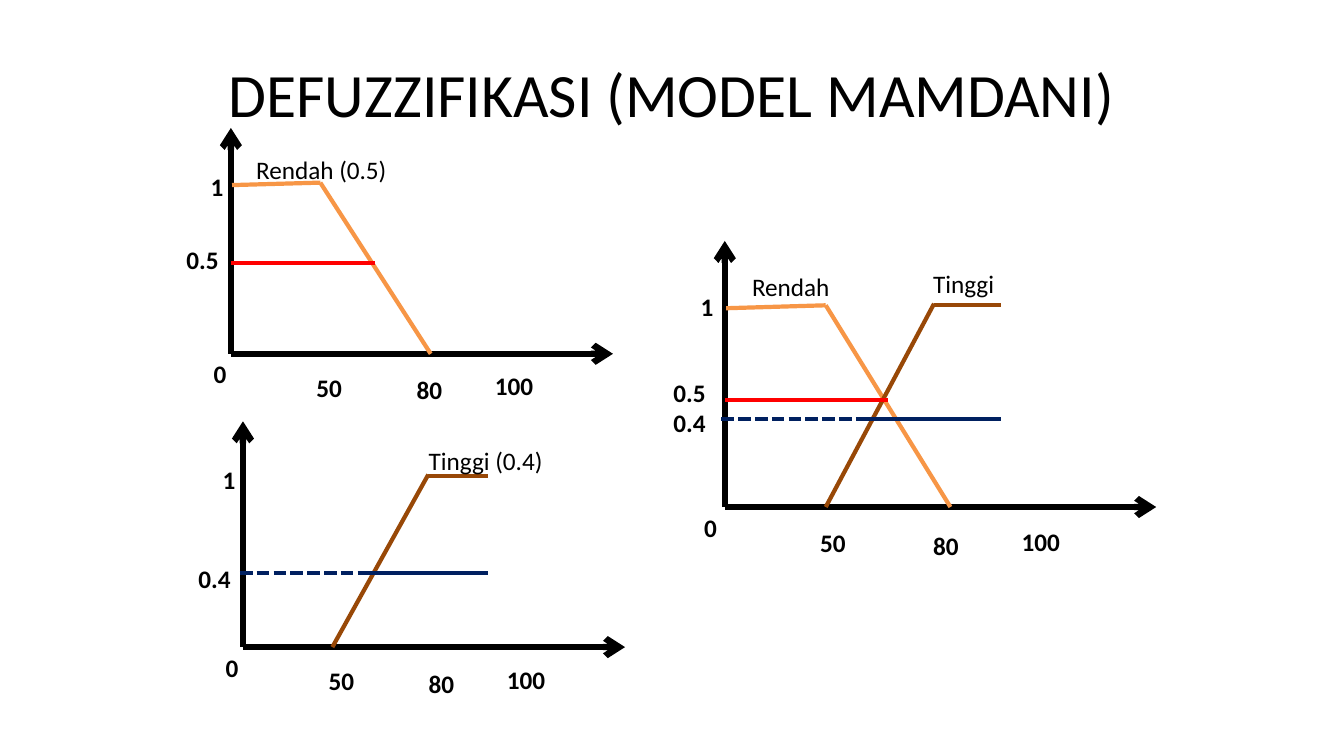
from dataclasses import dataclass

from lxml.etree import SubElement
from pptx import Presentation
from pptx.dml.color import RGBColor as RGB
from pptx.enum.dml import MSO_LINE as Dash
from pptx.enum.shapes import MSO_CONNECTOR as Link
from pptx.enum.text import MSO_ANCHOR as Anchor, MSO_AUTO_SIZE as Fit, PP_ALIGN as Align
from pptx.oxml.ns import qn
from pptx.util import Inches, Pt

HUES = {"ink": "000000", "low": "F79646", "high": "984807",
        "red": "FF0000", "navy": "002060"}
FONT = "Calibri"

deck = Presentation()
deck.slide_width, deck.slide_height = Inches(13.333), Inches(7.5)
COL, ROW = deck.slide_width / 100, deck.slide_height / 100


@dataclass(frozen=True)
class Stroke:
    """A line between two points, in percent of the axes."""
    start: tuple[float, float]
    end: tuple[float, float]
    hue: str
    weight: float = 3
    dots: bool = False
    arrow: bool = False


@dataclass(frozen=True)
class Label:
    """Top left corner in percent of the axes, width in slide columns."""
    text: str
    x: float
    y: float
    width: float
    bold: bool = True


@dataclass(frozen=True)
class Graph:
    """Origin and axis lengths in slide columns and rows."""
    x: float
    y: float
    width: float
    height: float
    strokes: list[Stroke]
    labels: list[Label]

    def point(self, x: float, y: float) -> tuple[int, int]:
        return (round((self.x + self.width * x / 100) * COL),
                round((self.y - self.height * y / 100) * ROW))


AXES = [Stroke((0, 0), (0, 100), "ink", 4.5, arrow=True),
        Stroke((0, 0), (100, 0), "ink", 4.5, arrow=True)]
TICKS = [Label("0", -7.1, 0, 2.48), Label("1", -7.9, 83, 2.48),
         Label("50", 19.8, -5.8, 3.45), Label("80", 46, -7, 3.45),
         Label("100", 66.5, -5.3, 4.43)]
LOW = [Stroke((0.3, 74.7), (23.4, 75.8), "low"),
       Stroke((23.4, 75.8), (52.3, 0), "low")]
HIGH = [Stroke((48.5, 76.4), (23.4, 0), "high"),
        Stroke((64, 75.8), (48.5, 75.8), "high")]
HALF = [Stroke((0, 40.2), (37.8, 40.2), "red")]
CUT = [Stroke((32.7, 33), (64, 33), "navy"),
       Stroke((-0.8, 33), (32.7, 33), "navy", dots=True)]
HALF_TICK = Label("0.5", -14.25, 50.8, 3.9)
CUT_TICK = Label("0.4", -14.25, 39.5, 3.9)


def low_name(text: str, width: float) -> Label:
    return Label(text, 4, 90.4, width, bold=False)


def high_name(text: str, width: float) -> Label:
    return Label(text, 46, 91.6, width, bold=False)


BOTH = Graph(53.93, 67.07, 32.1, 35.2, LOW + HIGH + HALF + CUT,
             [low_name("Rendah", 7.35), high_name("Tinggi", 6.08), HALF_TICK, CUT_TICK])
UPPER = Graph(17.18, 46.8, 28.43, 29.87, LOW + HALF,
              [low_name("Rendah (0.5)", 11.33), HALF_TICK])
LOWER = Graph(18.08, 85.6, 28.43, 29.87, HIGH + CUT,
              [high_name("Tinggi (0.4)", 10.13), CUT_TICK])


def style(font, size: float, bold: bool = False) -> None:
    font.name, font.size, font.bold = FONT, Pt(size), bold
    font.color.rgb = RGB.from_string(HUES["ink"])


def draw_stroke(shapes, graph: Graph, stroke: Stroke) -> None:
    link = shapes.add_connector(Link.STRAIGHT, *graph.point(*stroke.start),
                                *graph.point(*stroke.end))
    link.line.color.rgb = RGB.from_string(HUES[stroke.hue])
    link.line.width = Pt(stroke.weight)
    if stroke.dots:
        link.line.dash_style = Dash.SQUARE_DOT
    if stroke.arrow:
        SubElement(link.line._get_or_add_ln(), qn("a:tailEnd"), type="arrow")
    SubElement(link._element.spPr, qn("a:effectLst"))


def draw_label(shapes, graph: Graph, label: Label) -> None:
    box = shapes.add_textbox(*graph.point(label.x, label.y),
                             round(label.width * COL), round(5.33 * ROW))
    frame = box.text_frame
    frame.text = label.text
    frame.word_wrap, frame.auto_size = False, Fit.SHAPE_TO_FIT_TEXT
    style(frame.paragraphs[0].runs[0].font, 18, label.bold)


def draw_graph(shapes, graph: Graph) -> None:
    for stroke in AXES + graph.strokes:
        draw_stroke(shapes, graph, stroke)
    for label in TICKS + graph.labels:
        draw_label(shapes, graph, label)


def draw_title(title, text: str) -> None:
    title.left, title.top = round(5 * COL), round(4 * ROW)
    title.width, title.height = round(90 * COL), round(16.67 * ROW)
    frame = title.text_frame
    frame.text = text
    frame.vertical_anchor = Anchor.MIDDLE
    frame.paragraphs[0].alignment = Align.CENTER
    style(frame.paragraphs[0].runs[0].font, 44)


def main() -> None:
    slide = deck.slides.add_slide(deck.slide_layouts[5])
    draw_title(slide.shapes.title, "DEFUZZIFIKASI (MODEL MAMDANI)")
    draw_graph(slide.shapes.add_group_shape().shapes, BOTH)
    for graph in (UPPER, LOWER):
        draw_graph(slide.shapes, graph)
    deck.save("out.pptx")


if __name__ == "__main__":
    main()
